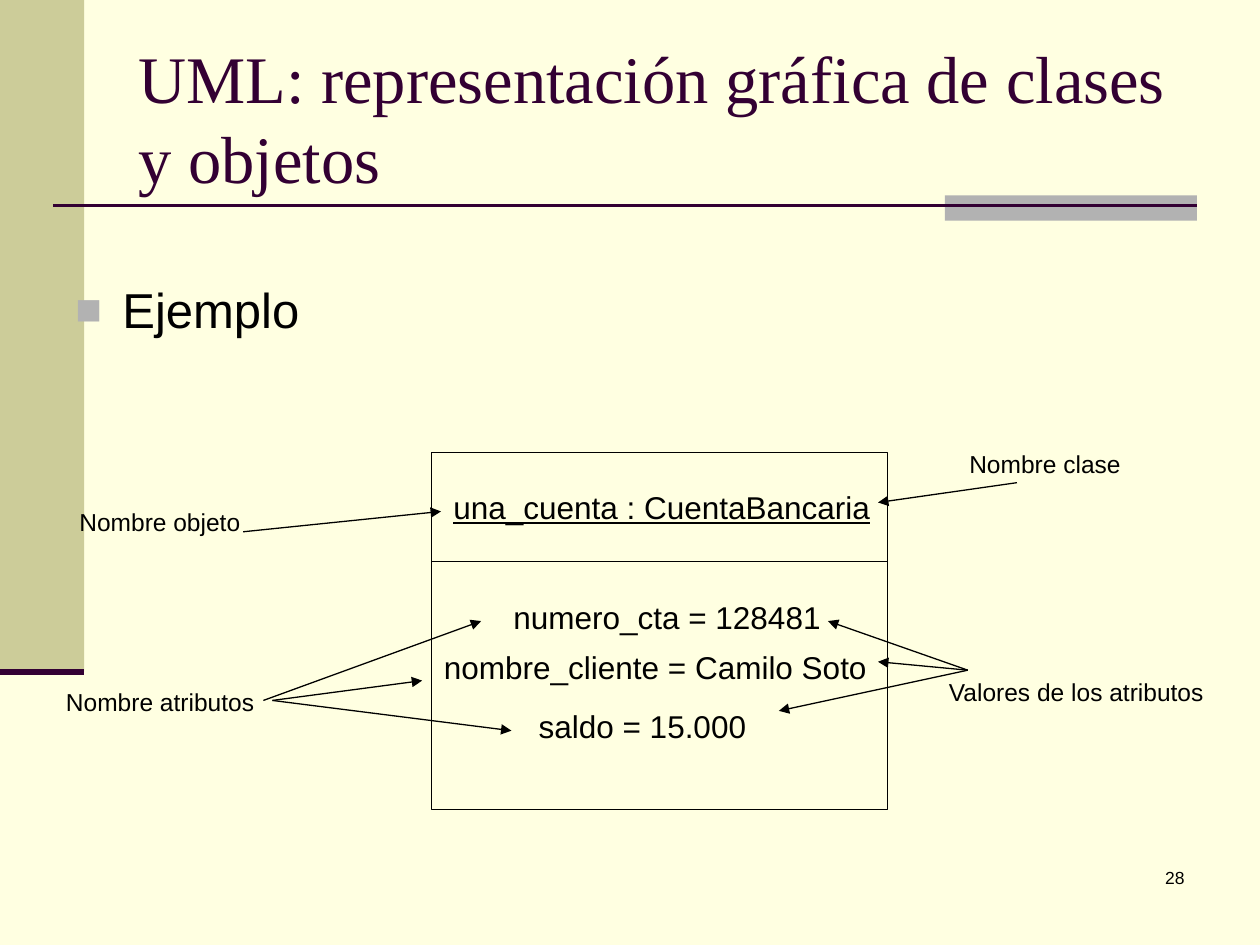
from dataclasses import dataclass

import pptx
import pptx.dml.color
import pptx.enum.shapes
import pptx.enum.text
import pptx.oxml
import pptx.oxml.ns
import pptx.util
from pptx.util import Cm, Pt

RGBColor = pptx.dml.color.RGBColor
Align = pptx.enum.text.PP_ALIGN
Anchor = pptx.enum.text.MSO_ANCHOR

CREAM = RGBColor(0xFF, 0xFF, 0xE1)
OLIVE = RGBColor(0xCC, 0xCC, 0x99)
GRAY = RGBColor(0xB2, 0xB2, 0xB2)
PLUM = RGBColor(0x33, 0x00, 0x33)
BLACK = RGBColor(0x00, 0x00, 0x00)


@dataclass
class Box:
    left: float
    top: float
    width: float
    height: float

    def frame(self) -> tuple:
        return Cm(self.left), Cm(self.top), Cm(self.width), Cm(self.height)


@dataclass
class Label:
    text: str
    box: Box
    size: float
    font: str = "Arial"
    color: RGBColor = BLACK
    under: bool = False
    wrap: bool = False
    align: Align = Align.LEFT
    anchor: Anchor = Anchor.TOP


@dataclass
class Fan:
    """Arrows that leave one start point."""
    start: tuple
    tips: list


def add_xml(parent, tag: str, **attrs: str):
    child = pptx.oxml.parse_xml(f"<{tag} {pptx.oxml.ns.nsdecls('a')}/>")
    for name, value in attrs.items():
        child.set(name, value)
    parent.append(child)
    return child


def add_rect(slide, box: Box, fill: RGBColor = None, line: RGBColor = None):
    kind = pptx.enum.shapes.MSO_SHAPE.RECTANGLE
    shape = slide.shapes.add_shape(kind, *box.frame())
    shape.shadow.inherit = False
    if fill is None:
        shape.fill.background()
    else:
        shape.fill.solid()
        shape.fill.fore_color.rgb = fill
    if line is None:
        shape.line.fill.background()
    else:
        shape.line.color.rgb = line
        shape.line.width = Pt(0.75)


def add_line(slide, start: tuple, end: tuple, color: RGBColor = BLACK,
             width: float = 0.75, arrow: bool = False):
    kind = pptx.enum.shapes.MSO_CONNECTOR.STRAIGHT
    ends = [Cm(value) for value in (*start, *end)]
    line = slide.shapes.add_connector(kind, *ends)
    line.line.color.rgb = color
    line.line.width = Pt(width)
    if arrow:
        add_xml(line.line._get_or_add_ln(), "a:tailEnd", type="triangle")
    add_xml(line._element.spPr, "a:effectLst")


def add_label(slide, label: Label):
    shape = slide.shapes.add_textbox(*label.box.frame())
    frame = shape.text_frame
    frame.word_wrap = label.wrap
    if not label.wrap:
        frame.auto_size = pptx.enum.text.MSO_AUTO_SIZE.SHAPE_TO_FIT_TEXT
    frame.vertical_anchor = label.anchor
    para = frame.paragraphs[0]
    para.alignment = label.align
    run = para.add_run()
    run.text = label.text
    run.font.name = label.font
    run.font.size = Pt(label.size)
    run.font.color.rgb = label.color
    if label.under:
        run.font.underline = True
    return para


def add_bullet(para):
    para.space_before = Pt(7)
    props = para._p.get_or_add_pPr()
    props.set("marL", str(Cm(0.95)))
    props.set("indent", str(-Cm(0.95)))
    add_xml(add_xml(props, "a:buClr"), "a:srgbClr", val=str(GRAY))
    add_xml(props, "a:buSzPct", val="90000")
    add_xml(props, "a:buFont", typeface="Arial")
    add_xml(props, "a:buChar", char="■")


STRIP = Box(0, 0, 1.7, 13.54)
CARD = Box(8.7, 9.12, 9.2, 7.2)
SPLIT = 11.32

NUMBER = Label("28", Box(18.85, 17.35, 5.28, 1.27), 10, wrap=True,
               align=Align.RIGHT)
TITLE = Label("UML: representación gráfica de clases y objetos",
              Box(2.54, 0.76, 21.59, 3.18), 38, "Times New Roman", PLUM,
              wrap=True, anchor=Anchor.MIDDLE)
TOPIC = Label("Ejemplo", Box(1.27, 5.51, 22.86, 12.62), 28, wrap=True)

LABELS = [
    Label("una_cuenta : CuentaBancaria", Box(8.89, 9.71, 9.02, 1.02), 18,
          under=True),
    Label("numero_cta = 128481", Box(10.1, 11.94, 6.81, 1.02), 18),
    Label("nombre_cliente = Camilo Soto", Box(8.7, 12.93, 9.14, 1.02), 18),
    Label("saldo = 15.000", Box(10.61, 14.12, 4.8, 1.02), 18),
    Label("Nombre objeto", Box(1.35, 10.09, 3.86, 0.86), 14),
    Label("Nombre atributos", Box(1.08, 13.72, 4.42, 0.86), 14),
    Label("Nombre clase", Box(19.29, 8.92, 3.66, 0.86), 14),
    Label("Valores de los atributos", Box(18.88, 13.52, 5.79, 0.86), 14),
]

FANS = [
    Fan((4.9, 10.72), [(8.89, 10.31)]),
    Fan((20.5, 9.73), [(17.7, 10.13)]),
    Fan((5.31, 14.12), [(9.7, 12.52)]),
    Fan((5.49, 14.12), [(8.51, 13.72), (10.31, 14.73)]),
    Fan((19.51, 13.51), [(16.69, 12.52), (17.7, 13.34), (15.7, 14.33)]),
]


def main():
    deck = pptx.Presentation()
    deck.slide_width, deck.slide_height = Cm(25.4), Cm(19.05)
    slide = deck.slides.add_slide(deck.slide_layouts[6])
    slide.background.fill.solid()
    slide.background.fill.fore_color.rgb = CREAM

    add_rect(slide, STRIP, OLIVE)
    add_rect(slide, Box(19.05, 3.94, 5.08, 0.51), GRAY)
    add_line(slide, (1.07, 4.14), (24.13, 4.14), PLUM, 1.5)
    add_line(slide, (0, STRIP.height), (STRIP.width, STRIP.height), PLUM, 3.5)

    add_label(slide, NUMBER)
    add_label(slide, TITLE)
    add_bullet(add_label(slide, TOPIC))

    add_rect(slide, CARD, line=BLACK)
    add_line(slide, (CARD.left, SPLIT), (CARD.left + CARD.width, SPLIT))
    for label in LABELS:
        add_label(slide, label)
    for fan in FANS:
        for tip in fan.tips:
            add_line(slide, fan.start, tip, arrow=True)

    deck.save("out.pptx")


if __name__ == "__main__":
    main()
